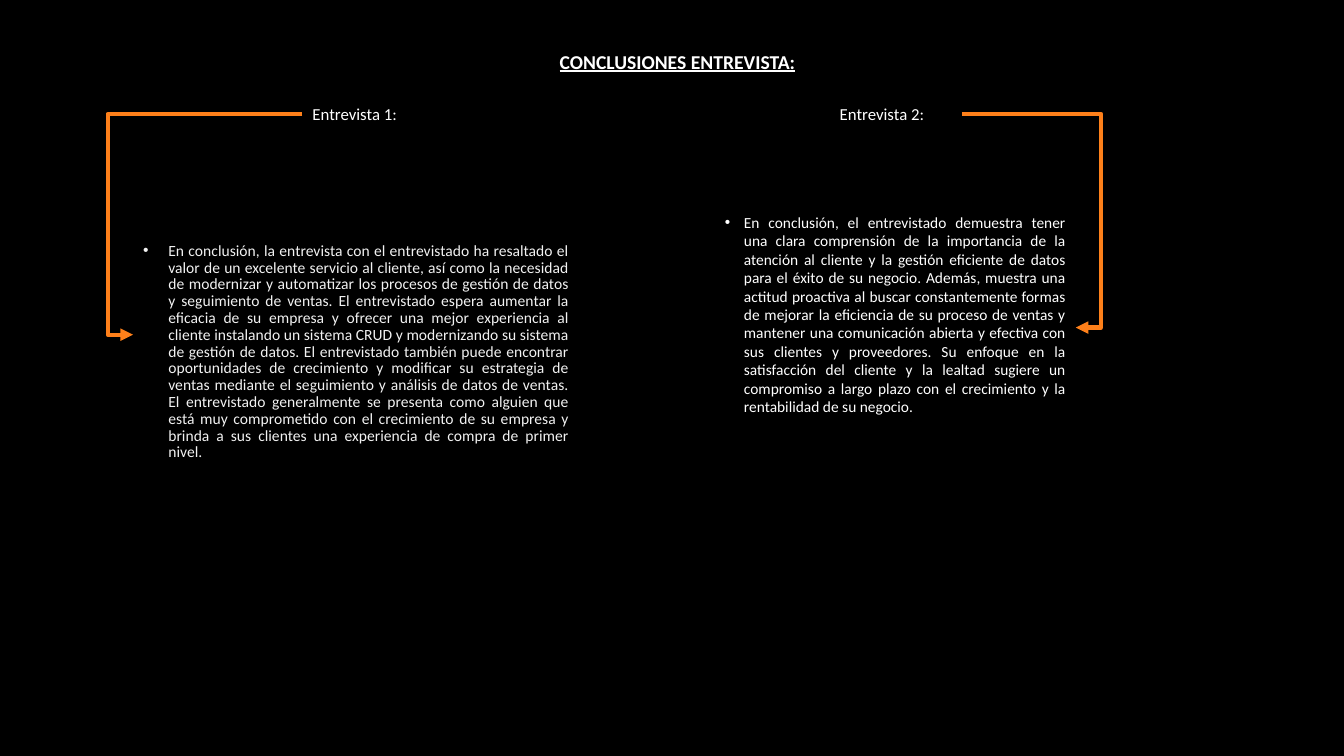
from lxml import etree
from pptx import Presentation, util as u
from pptx.dml.color import RGBColor
from pptx.enum import shapes, text
from pptx.oxml.ns import qn

WIDE, HIGH = u.Inches(13.33), u.Inches(7.5)
WHITE, PALE, ORANGE = "FFFFFF", "F2F2F2", "FE801A"
BEND = u.Inches(0.25)
TOP = 27.47  # shared top of both conclusions, in % of the height
LINE = 15.07  # height at which both arrows start

FIRST = (
    "En conclusión, la entrevista con el entrevistado ha resaltado el valor de un "
    "excelente servicio al cliente, así como la necesidad de modernizar y automatizar "
    "los procesos de gestión de datos y seguimiento de ventas. El entrevistado espera "
    "aumentar la eficacia de su empresa y ofrecer una mejor experiencia al cliente "
    "instalando un sistema CRUD y modernizando su sistema de gestión de datos. El "
    "entrevistado también puede encontrar oportunidades de crecimiento y modificar su "
    "estrategia de ventas mediante el seguimiento y análisis de datos de ventas. El "
    "entrevistado generalmente se presenta como alguien que está muy comprometido con "
    "el crecimiento de su empresa y brinda a sus clientes una experiencia de compra de "
    "primer nivel."
)
SECOND = (
    "En conclusión, el entrevistado demuestra tener una clara comprensión de la "
    "importancia de la atención al cliente y la gestión eficiente de datos para el "
    "éxito de su negocio. Además, muestra una actitud proactiva al buscar "
    "constantemente formas de mejorar la eficiencia de su proceso de ventas y mantener "
    "una comunicación abierta y efectiva con sus clientes y proveedores. Su enfoque en "
    "la satisfacción del cliente y la lealtad sugiere un compromiso a largo plazo con "
    "el crecimiento y la rentabilidad de su negocio."
)


def paint(fill, code):
    fill.solid()
    fill.fore_color.rgb = RGBColor.from_string(code)


def place(x, y):
    """Turn shares of the slide, in %, into lengths."""
    return int(WIDE * x / 100), int(HIGH * y / 100)


def apply(item, form):
    for name, value in form.items():
        setattr(item, name, value)


def write(shape, area, words, size, code=WHITE, font=None, para=None, frame=None):
    shape.left, shape.top = place(*area[:2])
    shape.width, shape.height = place(*area[2:])
    body = shape.text_frame
    apply(body, {"word_wrap": True, "auto_size": text.MSO_AUTO_SIZE.NONE, **(frame or {})})
    line = body.paragraphs[0]
    apply(line, {"space_before": u.Pt(0), **(para or {})})
    run = line.add_run()
    run.text = words
    apply(run.font, {"name": "Calibri", "size": u.Pt(size), **(font or {})})
    paint(run.font.fill, code)
    return line


def bullet(line, inch):
    props = line._p.get_or_add_pPr()
    props.set("marL", str(u.Inches(inch)))
    props.set("indent", str(-u.Inches(inch)))
    etree.SubElement(props, qn("a:buFont")).set("typeface", "Arial")
    etree.SubElement(props, qn("a:buChar")).set("char", "•")


def arrow(slide, start, end):
    """Draw an elbow arrow that swings past its end before turning back."""
    link = slide.shapes.add_connector(
        shapes.MSO_CONNECTOR.ELBOW, *place(*start), *place(*end))
    paint(link.line.fill, ORANGE)
    link.line.width = u.Pt(3)
    props = link._element.spPr
    guide = etree.SubElement(props.find(qn("a:prstGeom")).find(qn("a:avLst")), qn("a:gd"))
    guide.set("name", "adj1")
    guide.set("fmla", f"val {round(100000 * (1 + BEND / link.width))}")
    etree.SubElement(props.find(qn("a:ln")), qn("a:tailEnd")).set("type", "triangle")
    etree.SubElement(props, qn("a:effectLst"))


def main():
    deck = Presentation()
    deck.slide_width, deck.slide_height = WIDE, HIGH
    slide = deck.slides.add_slide(deck.slide_layouts[1])
    paint(slide.background.fill, "000000")
    title, body = slide.placeholders

    write(title, (37.21, -1.07, 22.73, 18.8), "CONCLUSIONES ENTREVISTA:", 14,
          font={"bold": True, "underline": True},
          para={"alignment": text.PP_ALIGN.RIGHT, "line_spacing": 0.9},
          frame={"vertical_anchor": text.MSO_ANCHOR.MIDDLE})

    just = {"alignment": text.PP_ALIGN.JUSTIFY}
    line = write(body, (9.9, TOP, 33.16, 33.73), FIRST, 11.1, PALE,
                 para={**just, "line_spacing": 0.9},
                 frame={"margin_top": u.Inches(0.35)})
    bullet(line, 0.25)

    grow = {"auto_size": text.MSO_AUTO_SIZE.SHAPE_TO_FIT_TEXT}
    box = slide.shapes.add_textbox(0, 0, 0, 0)
    line = write(box, (53.19, TOP, 26.86, 28.53), SECOND, 11, para=just, frame=grow)
    bullet(line, 0.19)

    for words, left, wide in (("Entrevista 1:", 22.51, 8), ("Entrevista 2:", 61.74, 9.83)):
        box = slide.shapes.add_textbox(0, 0, 0, 0)
        write(box, (left, 13.07, wide, 4), words, 12, frame=grow)

    arrow(slide, (22.51, LINE), (9.9, 44.27))
    arrow(slide, (71.57, LINE), (80.05, 43.33))
    deck.save("out.pptx")


if __name__ == "__main__":
    main()
